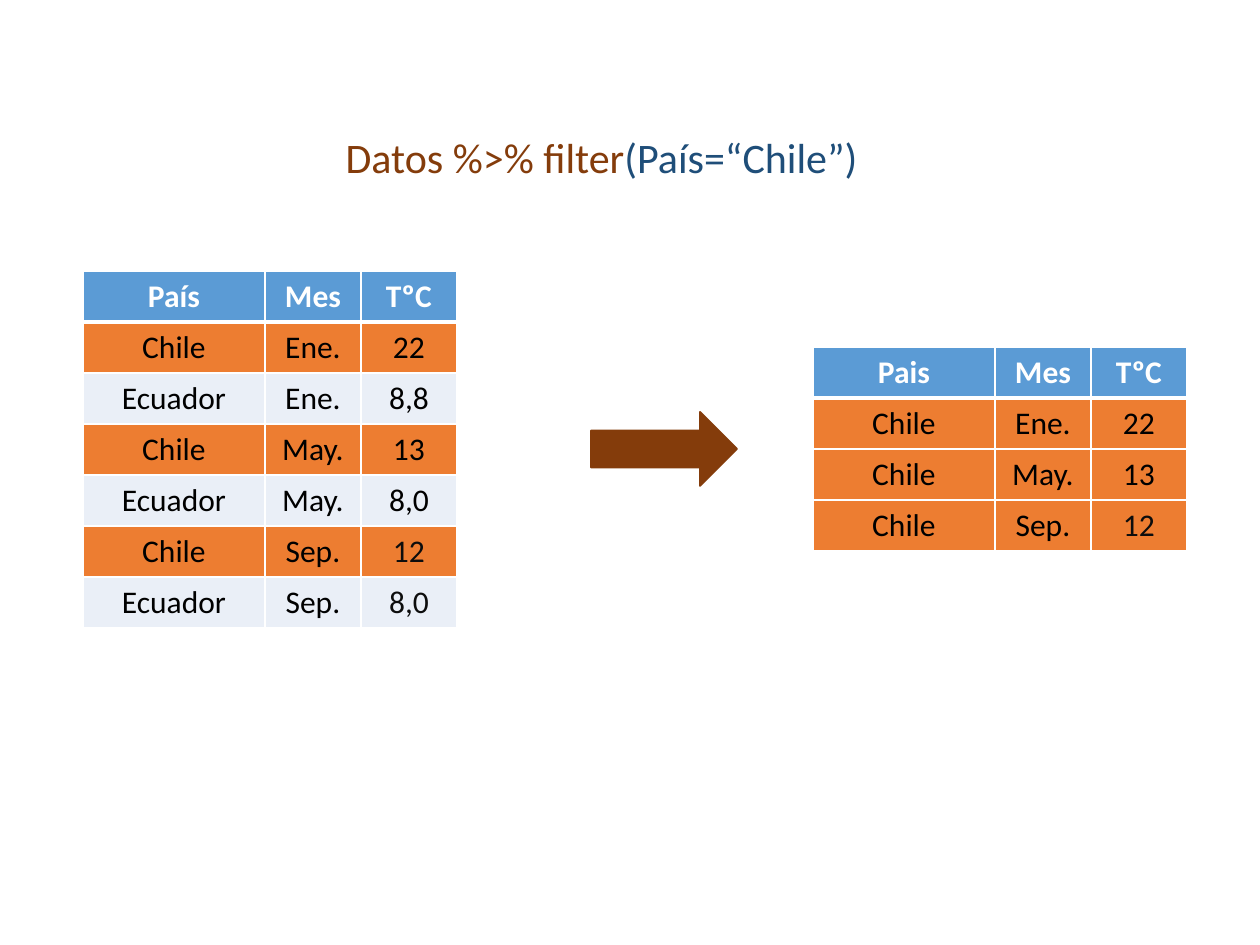
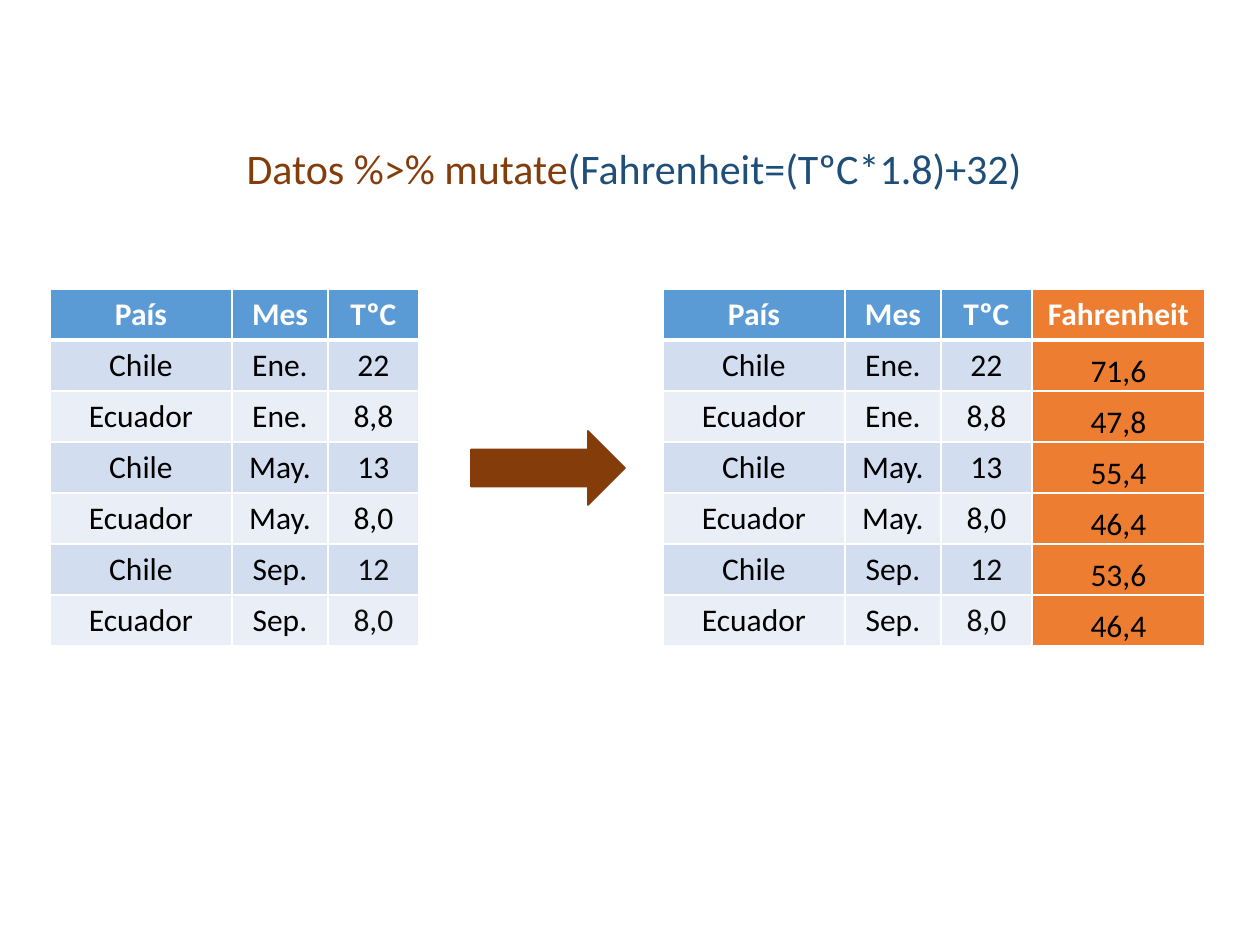
from dataclasses import dataclass

from lxml.etree import SubElement
from pptx import Presentation
from pptx.dml.color import RGBColor
from pptx.enum.shapes import MSO_SHAPE
from pptx.enum.text import MSO_ANCHOR, MSO_AUTO_SIZE, PP_ALIGN
from pptx.oxml.ns import qn
from pptx.slide import Slide
from pptx.table import _Cell
from pptx.text.text import TextFrame
from pptx.util import Emu, Pt

FONT = "Calibri"
WHITE, BLACK, SOFT_BLACK = "FFFFFF", "000000", "0D0D0D"
BLUE, ORANGE = "5B9BD5", "ED7D31"
BAND_DARK, BAND_LIGHT = "D2DEEF", "EAEFF7"
BROWN, NAVY = "843C0B", "1F4E79"

ROW_HEIGHT = 51
ARROW_HEIGHT = 74
TITLE_HEIGHT = 63
COUNTRY_WIDTH, MONTH_WIDTH, FAHRENHEIT_WIDTH = 182, 96, 173

READINGS = [
    ("Chile", "Ene.", "22"),
    ("Ecuador", "Ene.", "8,8"),
    ("Chile", "May.", "13"),
    ("Ecuador", "May.", "8,0"),
    ("Chile", "Sep.", "12"),
    ("Ecuador", "Sep.", "8,0"),
]
HEADINGS = ("País", "Mes", "TºC")


@dataclass
class DataTable:
    left: int
    top: int
    widths: list[int]
    headings: tuple[str, ...]
    rows: list[tuple[str, ...]]
    chile_fill: str = BAND_DARK


@dataclass
class Step:
    verb: str
    argument: str
    title_left: int
    title_top: int
    title_width: int
    arrow_left: int
    arrow_top: int
    arrow_width: int
    before: DataTable
    after: DataTable


def px(length: float) -> Emu:
    return Emu(round(length * 914400 / 126))


def color(value: str) -> RGBColor:
    return RGBColor.from_string(value)


def write(frame: TextFrame, *runs: tuple[str, str], size: int,
          bold: bool = False, align: PP_ALIGN = PP_ALIGN.CENTER) -> None:
    paragraph = frame.paragraphs[0]
    paragraph.alignment = align
    for text, ink in runs:
        run = paragraph.add_run()
        run.text = text
        run.font.name = FONT
        run.font.size = Pt(size)
        run.font.bold = bold
        run.font.color.rgb = color(ink)


def add_borders(cell: _Cell, top: int, bottom: int) -> None:
    properties = cell._tc.get_or_add_tcPr()
    for side, width in (("L", 1), ("R", 1), ("T", top), ("B", bottom)):
        border = SubElement(properties, qn(f"a:ln{side}"), w=str(Pt(width)))
        fill = SubElement(border, qn("a:solidFill"))
        SubElement(fill, qn("a:srgbClr"), val=WHITE)


def paint(cell: _Cell, fill: str) -> None:
    cell.fill.solid()
    cell.fill.fore_color.rgb = color(fill)


def add_data_table(slide: Slide, data: DataTable) -> None:
    row_count = len(data.rows) + 1
    table = slide.shapes.add_table(
        row_count, len(data.widths), px(data.left), px(data.top),
        px(sum(data.widths)), px(ROW_HEIGHT * row_count)).table
    for column, width in zip(table.columns, data.widths):
        column.width = px(width)
    for row in table.rows:
        row.height = px(ROW_HEIGHT)

    for index, heading in enumerate(data.headings):
        cell = table.cell(0, index)
        add_borders(cell, top=1, bottom=3)
        paint(cell, ORANGE if heading == "Fahrenheit" else BLUE)
        write(cell.text_frame, (heading, WHITE), size=18, bold=True)

    for row_index, reading in enumerate(data.rows, start=1):
        country, month = reading[:2]
        band = data.chile_fill if country == "Chile" else BAND_LIGHT
        for index, (heading, value) in enumerate(zip(data.headings, reading)):
            cell = table.cell(row_index, index)
            add_borders(cell, top=3 if row_index == 1 else 1, bottom=1)
            paint(cell, band)
            if heading == "Fahrenheit":
                paint(cell, ORANGE)
                cell.vertical_anchor = MSO_ANCHOR.BOTTOM
                cell.margin_left = cell.margin_right = cell.margin_top = px(1)
                cell.margin_bottom = 0
            late = heading == "TºC" and month == "Sep."
            write(cell.text_frame, (value, SOFT_BLACK if late else BLACK), size=18)


def add_arrow(slide: Slide, left: int, top: int, width: int) -> None:
    arrow = slide.shapes.add_shape(
        MSO_SHAPE.RIGHT_ARROW, px(left), px(top), px(width), px(ARROW_HEIGHT))
    arrow.shadow.inherit = False
    arrow.fill.solid()
    arrow.fill.fore_color.rgb = color(BROWN)
    arrow.line.color.rgb = color(BROWN)
    arrow.line.width = Pt(1)


def set_title(slide: Slide, step: Step) -> None:
    title = slide.shapes.title
    title.left, title.top = px(step.title_left), px(step.title_top)
    title.width, title.height = px(step.title_width), px(TITLE_HEIGHT)
    frame = title.text_frame
    frame.word_wrap = False
    frame.auto_size = MSO_AUTO_SIZE.SHAPE_TO_FIT_TEXT
    frame.vertical_anchor = MSO_ANCHOR.TOP
    write(frame, (f"Datos %>% {step.verb}", BROWN), (step.argument, NAVY),
          size=24, align=PP_ALIGN.LEFT)


def with_fahrenheit(reading: tuple[str, ...]) -> tuple[str, ...]:
    celsius = float(reading[2].replace(",", "."))
    return (*reading, f"{celsius * 1.8 + 32:.1f}".replace(".", ","))


filter_widths = [COUNTRY_WIDTH, MONTH_WIDTH, 96]
mutate_widths = [COUNTRY_WIDTH, MONTH_WIDTH, 91]

STEPS = [
    Step("filter", "(País=“Chile”)", 333, 125, 542, 591, 412, 146,
         DataTable(83, 271, filter_widths, HEADINGS, READINGS, ORANGE),
         DataTable(813, 347, filter_widths, ("Pais", "Mes", "TºC"),
                   [reading for reading in READINGS if reading[0] == "Chile"],
                   ORANGE)),
    Step("mutate", "(Fahrenheit=(TºC*1.8)+32)", 234, 136, 808, 471, 431, 154,
         DataTable(50, 289, mutate_widths, HEADINGS, READINGS),
         DataTable(663, 289, [*mutate_widths, FAHRENHEIT_WIDTH],
                   (*HEADINGS, "Fahrenheit"),
                   [with_fahrenheit(reading) for reading in READINGS])),
]

deck = Presentation()
deck.slide_width, deck.slide_height = px(1260), px(945)
title_only = deck.slide_layouts[5]

for step in STEPS:
    slide = deck.slides.add_slide(title_only)
    set_title(slide, step)
    add_data_table(slide, step.before)
    add_arrow(slide, step.arrow_left, step.arrow_top, step.arrow_width)
    add_data_table(slide, step.after)

deck.save("out.pptx")
